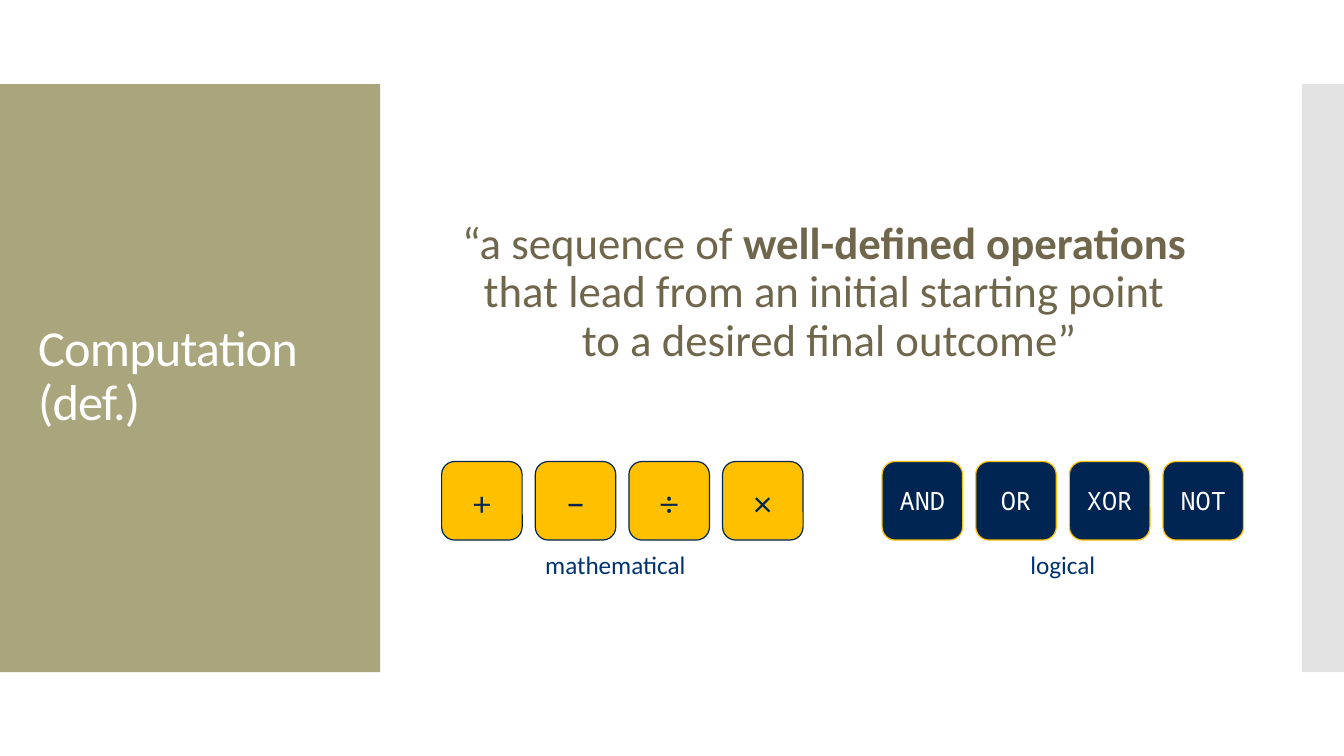
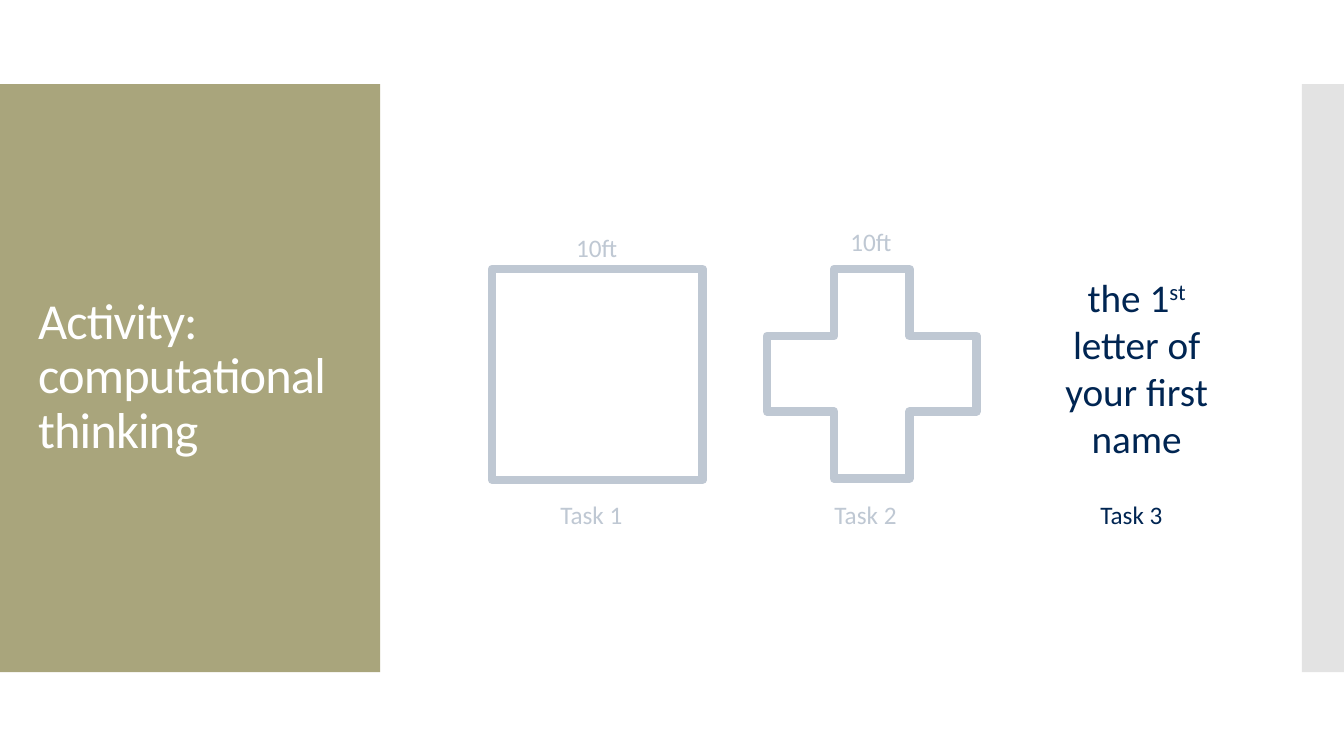
from lxml.etree import SubElement
from pptx import Presentation
from pptx.dml.color import RGBColor
from pptx.enum.shapes import MSO_SHAPE as Preset
from pptx.enum.text import MSO_ANCHOR as Anchor, PP_ALIGN as Align
from pptx.oxml.ns import qn
from pptx.util import Cm, Pt

OLIVE = RGBColor(0xA9, 0xA5, 0x7C)
GREY = RGBColor(0xC8, 0xC8, 0xC8)
BROWN = RGBColor(0x6F, 0x66, 0x4C)
GOLD = RGBColor(0xFF, 0xC0, 0x00)
NAVY = RGBColor(0x00, 0x25, 0x52)
BLUE = RGBColor(0x00, 0x34, 0x70)
WHITE = RGBColor(0xFF, 0xFF, 0xFF)

BAND_TOP, BAND_HEIGHT = 2.12, 14.82
TILE_TOP, TILE_WIDTH, TILE_HEIGHT, TILE_PITCH = 11.63, 2.03, 1.98, 2.36
CAPTION_HEIGHT = 1.02
FIGURE_TOP, CAPTION_TOP = 6.78, 12.45


class Deck:
    body_font = "Calibri"
    math_font = "Cambria"
    code_font = "Noto Sans Mono"

    def __init__(self):
        self.presentation = Presentation()
        self.presentation.slide_width = Cm(33.87)
        self.presentation.slide_height = Cm(19.05)
        self.slide = None

    def add_slide(self, title):
        self.slide = self.presentation.slides.add_slide(self.presentation.slide_layouts[6])
        self.shape(Preset.RECTANGLE, (0, BAND_TOP, 9.58, BAND_HEIGHT), OLIVE)
        self.shape(Preset.RECTANGLE, (32.81, BAND_TOP, 1.06, BAND_HEIGHT), GREY, opacity=50)
        box = self.text((0.71, 3.12, 8.18, 12.78), [[(title, {})]], WHITE, 36, spacing=0.9)
        box.text_frame.vertical_anchor = Anchor.MIDDLE
        box.text_frame.paragraphs[0].runs[0]._r.get_or_add_rPr().set("spc", "-60")

    def shape(self, preset, place, fill, line=None, line_width=0.85, opacity=100):
        shape = self.slide.shapes.add_shape(preset, *map(Cm, place))
        shape.shadow.inherit = False
        shape.fill.solid()
        shape.fill.fore_color.rgb = fill
        properties = shape._element.spPr
        if opacity < 100:
            color = properties.find(qn("a:solidFill")).find(qn("a:srgbClr"))
            SubElement(color, qn("a:alpha")).set("val", str(opacity * 1000))
        if line is None:
            shape.line.fill.background()
        else:
            shape.line.color.rgb = line
            shape.line.width = Pt(line_width)
            SubElement(properties.find(qn("a:ln")), qn("a:round"))
        return shape

    def fill_text(self, frame, lines, color, size, font=None, align=Align.LEFT, spacing=None):
        for index, runs in enumerate(lines):
            paragraph = frame.add_paragraph() if index else frame.paragraphs[0]
            paragraph.alignment = align
            paragraph.line_spacing = spacing
            for content, changes in runs:
                run = paragraph.add_run()
                run.text = content
                run.font.color.rgb = color
                style = {"name": font or self.body_font, "size": Pt(size)}
                for key, value in {**style, **changes}.items():
                    if key == "baseline":
                        run._r.get_or_add_rPr().set(key, value)
                    else:
                        setattr(run.font, key, value)

    def text(self, place, lines, color, size, wrap=True, **style):
        box = self.slide.shapes.add_textbox(*map(Cm, place))
        box.text_frame.word_wrap = wrap
        self.fill_text(box.text_frame, lines, color, size, **style)
        return box

    def tile_group(self, left, tiles, fill, accent, color, size, caption, align):
        for index, (label, font) in enumerate(tiles):
            place = (left + index * TILE_PITCH, TILE_TOP, TILE_WIDTH, TILE_HEIGHT)
            tile = self.shape(Preset.ROUNDED_RECTANGLE, place, fill, accent)
            self.fill_text(tile.text_frame, [[(label, {})]], color, size, font, Align.CENTER)
        place = (left + TILE_PITCH, 13.72, TILE_PITCH + TILE_WIDTH, CAPTION_HEIGHT)
        self.text(place, [[(caption, {})]], BLUE, 18, align=align)

    def caption(self, left, top, width, label):
        self.text((left, top, width, CAPTION_HEIGHT), [[(label, {})]], NAVY, 18, wrap=False)


def build_definition(deck):
    deck.add_slide("Computation (def.)")
    quote = [
        [("“a sequence of ", {}), ("well-defined operations ", {"bold": True})],
        [("that lead from an initial starting point ", {})],
        [("to a desired final outcome”", {})],
    ]
    deck.text((10.74, 5.44, 20.32, 4), quote, BROWN, 32, align=Align.CENTER, spacing=0.9)
    operators = [("+", deck.math_font), ("–", deck.body_font),
                 ("÷", deck.math_font), ("×", deck.math_font)]
    deck.tile_group(11.13, operators, GOLD, NAVY, NAVY, 28, "mathematical", Align.LEFT)
    gates = [(gate, deck.code_font) for gate in ("AND", "OR", "XOR", "NOT")]
    deck.tile_group(22.23, gates, NAVY, GOLD, WHITE, 18, "logical", Align.CENTER)


def build_activity(deck):
    deck.add_slide("Activity: computational thinking")
    deck.shape(Preset.RECTANGLE, (12.4, FIGURE_TOP, 5.31, 5.31), WHITE, NAVY, 6)
    plus = deck.shape(Preset.CROSS, (19.33, FIGURE_TOP, 5.28, 5.28), WHITE, NAVY, 6)
    plus.adjustments[0] = 0.32
    for left, top in ((14.27, 5.72), (21.18, 5.59)):
        deck.caption(left, top, 1.57, "10ft")
    for number, left in enumerate((13.87, 20.78, 27.48), 1):
        deck.caption(left, CAPTION_TOP, 2.13, f"Task {number}")
    letter = deck.shape(Preset.ROUNDED_RECTANGLE, (26.09, 6.6, 5.11, 5.31), WHITE)
    runs = [("the 1", {}), ("st", {"baseline": "30000"}), (" letter of your first name", {})]
    deck.fill_text(letter.text_frame, [runs], NAVY, 28, align=Align.CENTER)
    deck.shape(Preset.RECTANGLE, (10.41, 4.39, 15.09, 10.64), WHITE, opacity=75)


def main():
    deck = Deck()
    build_definition(deck)
    build_activity(deck)
    deck.presentation.save("out.pptx")


if __name__ == "__main__":
    main()
